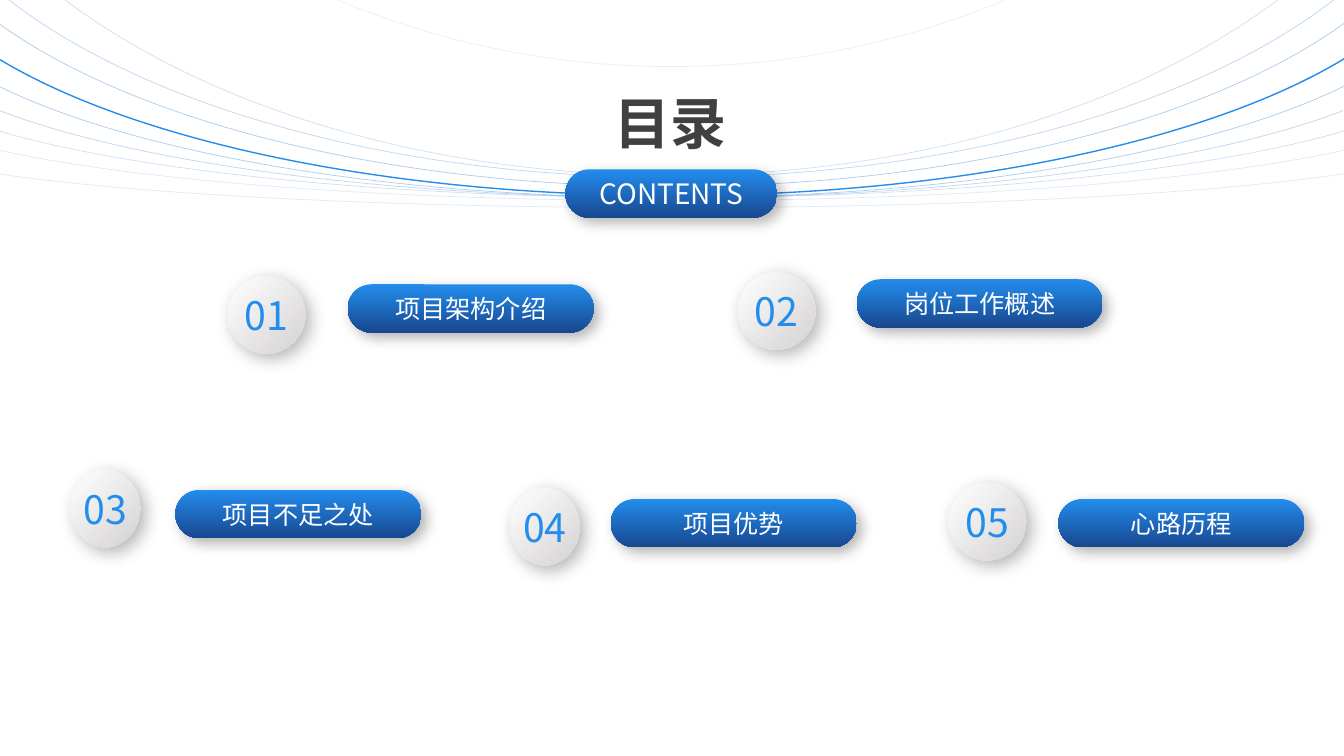
"""Build the contents slide: a fan of arcs, a title and five numbered entries."""
from lxml import etree
from pptx import Presentation
from pptx.dml.color import RGBColor
from pptx.enum import shapes, text
from pptx.oxml.ns import qn
from pptx.util import Pt

THEME = {
    "blue": RGBColor.from_string("238DED"),
    "navy": RGBColor.from_string("18478F"),
    "arc": RGBColor.from_string("5B9BD5"),
    "white": RGBColor.from_string("FFFFFF"),
    "grey": RGBColor.from_string("D4D2D3"),
    "ink": RGBColor.from_string("404040"),
    "font": "Noto Sans CJK SC", "latin": "Calibri",
    "title": Pt(40), "number": Pt(28), "tag": Pt(20), "label": Pt(18),
}
SHAPE = shapes.MSO_SHAPE


def write(sp, words, size, color, wrap=True, bold=False, font="font"):
    """Put one centred line of text in a shape."""
    tf = sp.text_frame
    for name, value in {"word_wrap": wrap, "vertical_anchor": text.MSO_ANCHOR.MIDDLE}.items():
        setattr(tf, name, value)
    p = tf.paragraphs[0]
    p.alignment = text.PP_ALIGN.CENTER
    r = p.add_run()
    r.text = words
    for name, value in {"name": THEME[font], "size": THEME[size], "bold": bold}.items():
        setattr(r.font, name, value)
    r.font.color.rgb = THEME[color]
    ea = etree.SubElement(r.font._element, qn("a:ea"))
    ea.set("typeface", THEME["font"])


def add_badge(kind, box, colors, angle, blur):
    """Add a gradient shape with a soft shadow to the lower right."""
    sp = s.shapes.add_shape(kind, *[Pt(v) for v in box])
    if kind == SHAPE.ROUNDED_RECTANGLE:
        sp.adjustments[0] = 0.5
    sp.line.fill.background()
    sp.fill.gradient()
    sp.fill.gradient_angle = 360 - angle
    for position, (stop, color) in enumerate(zip(sp.fill.gradient_stops, colors)):
        stop.position = position
        stop.color.rgb = THEME[color]
    sp.shadow.inherit = False
    effects = sp._element.spPr.find(qn("a:effectLst"))
    shadow = etree.SubElement(effects, qn("a:outerShdw"), blurRad=str(Pt(blur)), dist=str(Pt(5)),
                              dir="2700000", algn="tl", rotWithShape="0")
    black = etree.SubElement(shadow, qn("a:srgbClr"), val="000000")
    etree.SubElement(black, qn("a:alpha"), val="30000")
    return sp


prs = Presentation()
prs.slide_width, prs.slide_height = Pt(960), Pt(540)
s = prs.slides.add_slide(prs.slide_layouts[5])

ARC_LEFT, ARC_WIDTH, ARC_MIDDLE = -77.76, 1114.56, 162
arcs = [
    (-943.92, 991.44, 37.32, "arc", 0.5, 15),
    (-551.52, 676.8, 42.14, "arc", 0.5, 30),
    (-411.12, 537.84, 44.53, "arc", 0.5, 40),
    (-339.12, 472.32, 45.64, "arc", 0.5, 50),
    (-256.32, 396, 46.99, "blue", 1, 100),
    (-181.44, 322.56, 48.21, "arc", 0.5, 50),
    (-111.6, 252.72, 49.43, "arc", 0.5, 40),
    (-51.84, 192.96, 50.53, "arc", 0.5, 30),
    (-2.88, 146.16, 51.41, "arc", 0.5, 20),
    (50.4, 97.92, 52.51, "arc", 0.5, 20),
]
for top, height, sweep, color, width, opacity in arcs:
    sp = s.shapes.add_shape(SHAPE.ARC, Pt(ARC_LEFT), Pt(top), Pt(ARC_WIDTH), Pt(height))
    sp.rotation = 180
    sp.adjustments[0] = ARC_MIDDLE - sweep
    sp.adjustments[1] = ARC_MIDDLE + sweep
    sp.shadow.inherit = False
    sp.fill.background()
    sp.line.width = Pt(width)
    sp.line.color.rgb = THEME[color]
    tint = sp.line._ln.find(".//" + qn("a:srgbClr"))
    etree.SubElement(tint, qn("a:alpha"), val=str(opacity * 1000))

title = s.shapes.title
for name, value in {"left": 431.28, "top": 59.76, "width": 95.76, "height": 55.44}.items():
    setattr(title, name, Pt(value))
write(title, "目录", "title", "ink", wrap=False, bold=True)

PILL_HEIGHT = 34.56
tag = add_badge(SHAPE.ROUNDED_RECTANGLE, (403.92, 120.96, 151.2, PILL_HEIGHT), ("blue", "navy"), 90, 10)
write(tag, "CONTENTS", "tag", "white")

PILL_WIDTH, DISC_HEIGHT = 175.68, 55.44
entries = [
    ("项目架构介绍", "latin", (162.72, 197.28, 55.44), (248.4, 203.04)),
    ("岗位工作概述", "font", (527.04, 194.4, 55.44), (612, 199.44)),
    ("项目不足之处", "font", (50.4, 335.52, 49.68), (125.28, 349.92)),
    ("项目优势", "font", (364.32, 348.48, 49.68), (436.32, 356.4)),
    ("心路历程", "font", (677.52, 344.88, 55.44), (756, 356.4)),
]
for number, (label, font, disc, pill) in enumerate(entries, 1):
    sp = add_badge(SHAPE.OVAL, (*disc, DISC_HEIGHT), ("white", "grey"), 45, 13)
    write(sp, f"{number:02}", "number", "blue", wrap=False)
    sp = add_badge(SHAPE.ROUNDED_RECTANGLE, (*pill, PILL_WIDTH, PILL_HEIGHT), ("blue", "navy"), 90, 10)
    write(sp, label, "label", "white", font=font)

prs.save("out.pptx")
